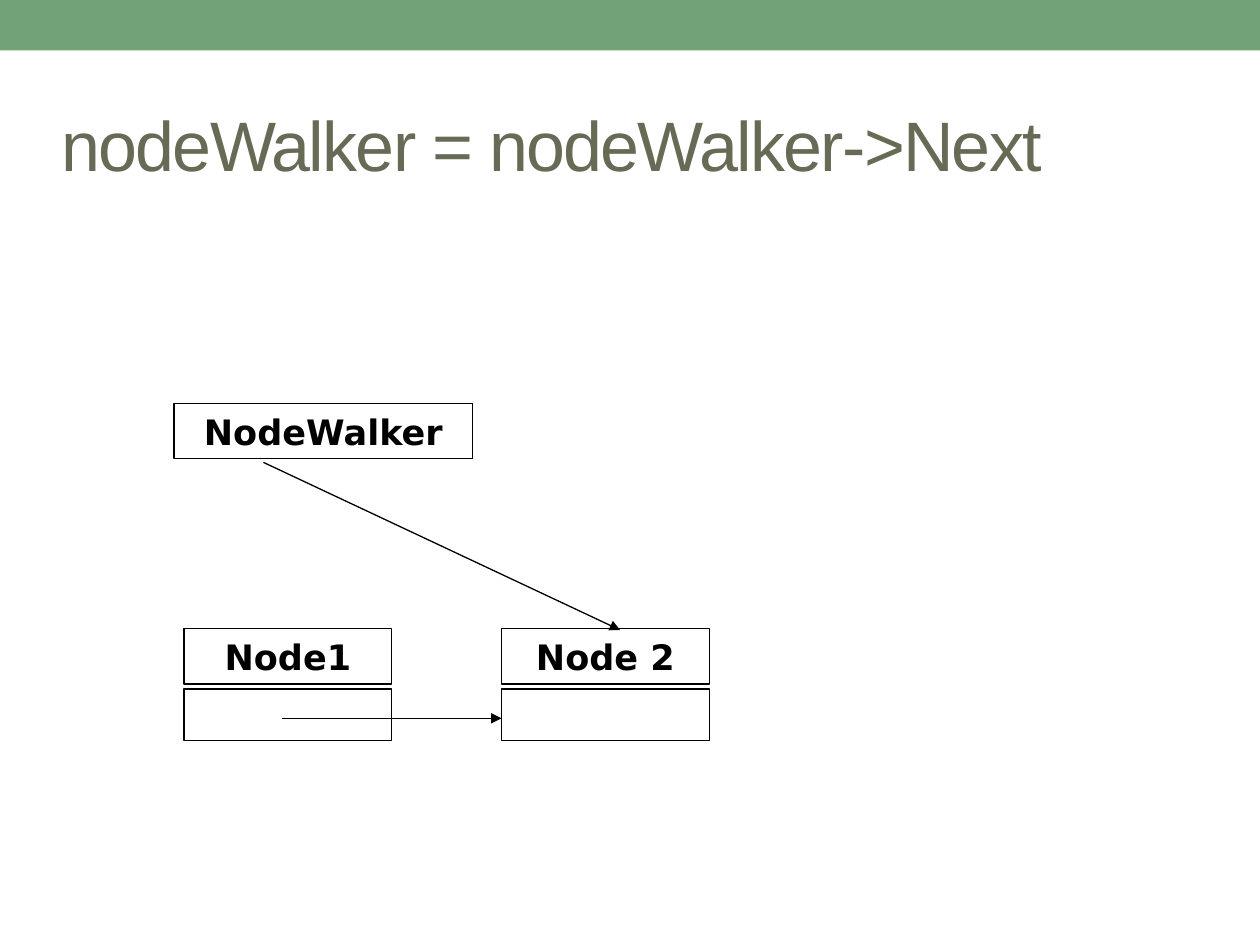
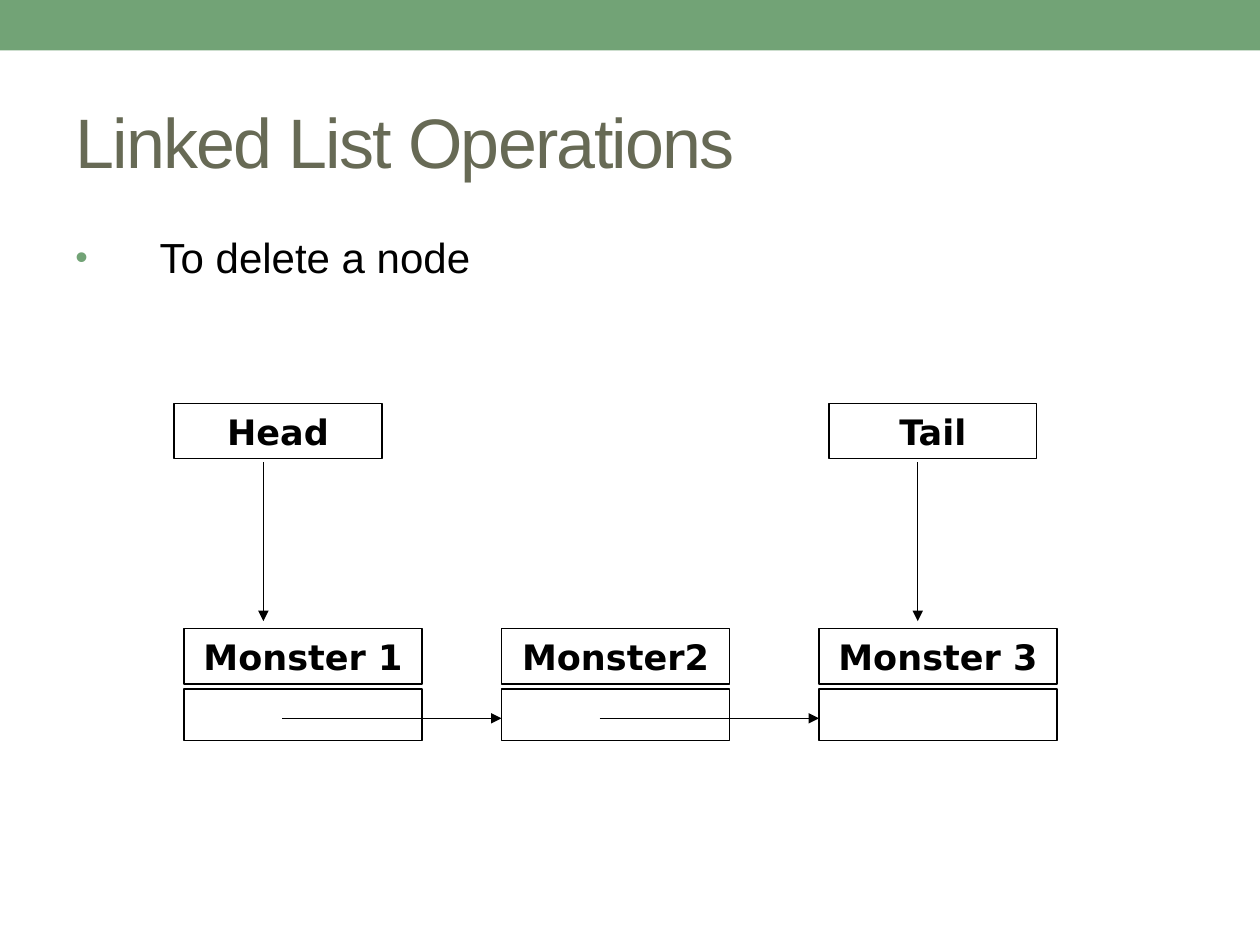
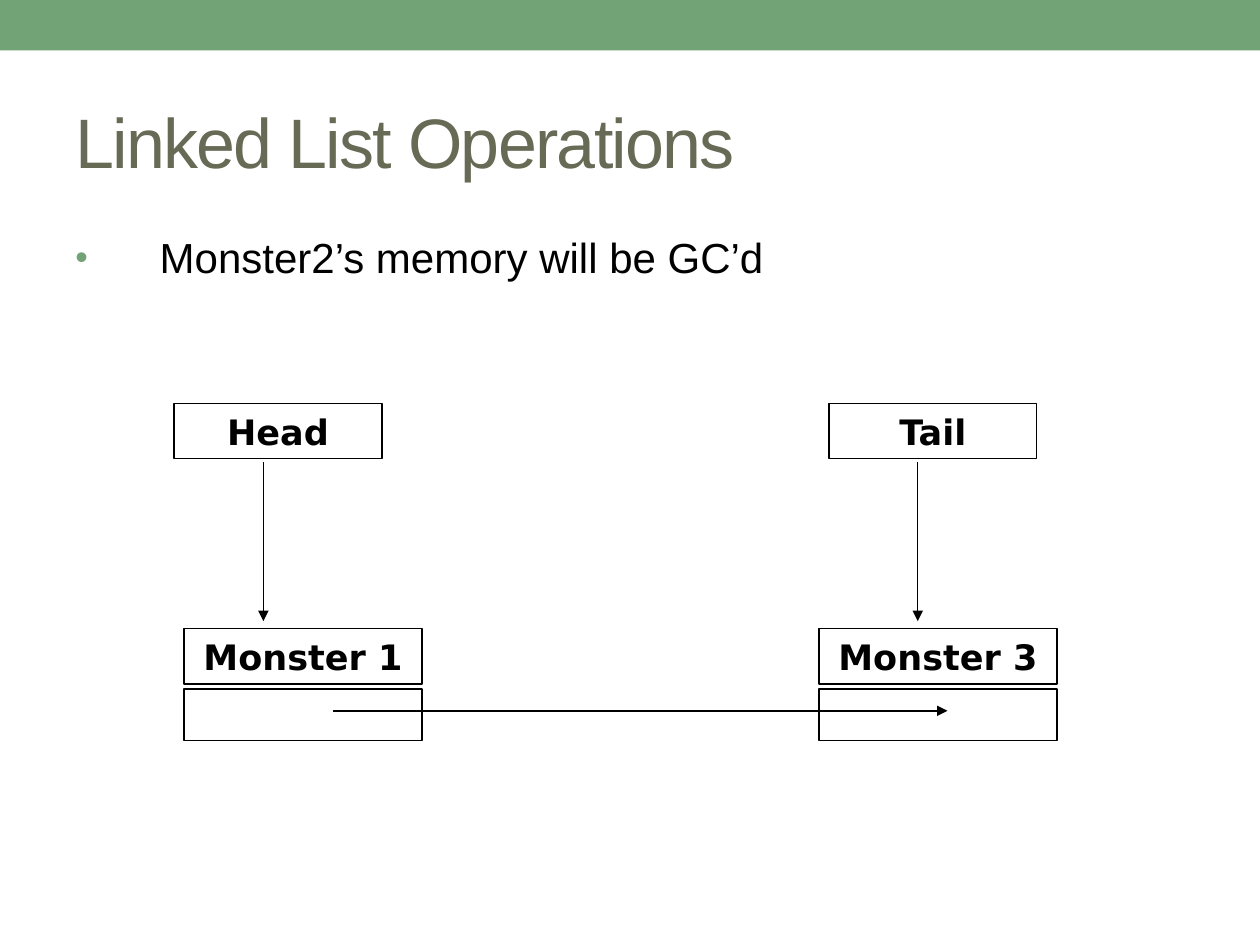
from pptx import Presentation
from pptx import util as u
from pptx.dml.color import RGBColor
from pptx.enum import shapes, text
from pptx.oxml import ns
from lxml import etree

GREEN = RGBColor(0x72, 0xA3, 0x76)
OLIVE = RGBColor(0x67, 0x6A, 0x55)
BLACK = RGBColor(0, 0, 0)

NODE_LEFT, NODE_STEP = 3.71, 6.4
NODE_TOP, LINK_TOP = 12.67, 13.89
POINTER_LEFT, POINTER_STEP, POINTER_TOP = 3.51, 6.6, 8.13
LABEL_HEIGHT, LINK_HEIGHT = 1.12, 1.04

head = ("Head", 0, 4.19)
tail = ("Tail", 2, 4.19)
monster1 = ("Monster 1", 0, 4.8)
monster2 = ("Monster2", 1, 4.6)
monster3 = ("Monster 3", 2, 4.8)
head_arrow = (5.31, 9.32, 5.31, 12.52)
tail_arrow = (18.5, 9.32, 18.5, 12.52)
first_link = (5.69, 14.48, 10.11, 14.48)
second_link = (12.09, 14.48, 16.51, 14.48)

lessons = [
    dict(title="nodeWalker = nodeWalker->Next",
         title_box=(0.99, 1.42, 23.14, 2.95),
         bullet=None,
         pointers=[("NodeWalker", 0, 6.02)],
         nodes=[("Node1", 0, 4.19), ("Node 2", 1, 4.19)],
         arrows=[first_link, (5.31, 9.32, 12.5, 12.7)]),
    dict(title="Linked List Operations",
         title_box=(1.27, 1.47, 22.86, 2.74),
         bullet="To delete a node",
         pointers=[head, tail],
         nodes=[monster1, monster2, monster3],
         arrows=[first_link, second_link, head_arrow, tail_arrow]),
    dict(title="Linked List Operations",
         title_box=(1.27, 1.47, 22.86, 2.74),
         bullet="Monster2\u2019s memory will be GC\u2019d",
         pointers=[head, tail],
         nodes=[monster1, monster3],
         arrows=[head_arrow, tail_arrow, (6.71, 14.33, 19.1, 14.33)]),
]


def write(shape, words, font_name, size, color, bold=False):
    frame = shape.text_frame
    frame.word_wrap = True
    frame.text = words
    font = frame.paragraphs[0].runs[0].font
    font.name, font.size, font.bold = font_name, u.Pt(size), bold
    font.color.rgb = color
    return frame.paragraphs[0]


def add_cell(slide, left, top, width, height):
    cell = slide.shapes.add_shape(shapes.MSO_SHAPE.RECTANGLE, u.Cm(left), u.Cm(top),
                                  u.Cm(width), u.Cm(height))
    cell.shadow.inherit = False
    cell.fill.background()
    cell.line.color.rgb = BLACK
    cell.line.width = u.Pt(0.75)
    return cell


deck = Presentation()
deck.slide_width, deck.slide_height = u.Cm(25.4), u.Cm(19.05)

for lesson in lessons:
    slide = deck.slides.add_slide(deck.slide_layouts[6])

    band = add_cell(slide, 0, 0, 25.4, 1.02)
    band.fill.solid()
    band.fill.fore_color.rgb = GREEN
    band.line.fill.background()

    title = slide.shapes.add_textbox(*[u.Cm(side) for side in lesson["title_box"]])
    title.text_frame.vertical_anchor = text.MSO_ANCHOR.MIDDLE
    heading = write(title, lesson["title"], "Arial", 40, OLIVE)
    heading.runs[0].font._element.set("spc", "-100")

    if lesson["bullet"]:
        body = slide.shapes.add_textbox(u.Cm(1.27), u.Cm(4.45), u.Cm(22.86), u.Cm(11.5))
        point = write(body, lesson["bullet"], "Arial", 24, BLACK)
        point.line_spacing = 1.1
        point.space_before = point.space_after = u.Pt(6)
        props = point._p.get_or_add_pPr()
        props.set("marL", str(u.Cm(1.7)))
        props.set("indent", str(-u.Cm(1.7)))
        bullet_color = etree.SubElement(props, ns.qn("a:buClr"))
        etree.SubElement(bullet_color, ns.qn("a:srgbClr"), val=str(GREEN))
        etree.SubElement(props, ns.qn("a:buSzPct"), val="85000")
        etree.SubElement(props, ns.qn("a:buFont"), typeface="Arial")
        etree.SubElement(props, ns.qn("a:buChar"), char="\u2022")

    labels = []
    for name, column, width in lesson["nodes"]:
        left = NODE_LEFT + column * NODE_STEP
        labels.append((name, left, NODE_TOP, width))
        add_cell(slide, left, LINK_TOP, width, LINK_HEIGHT)
    for name, column, width in lesson["pointers"]:
        labels.append((name, POINTER_LEFT + column * POINTER_STEP, POINTER_TOP, width))
    for name, left, top, width in labels:
        label = add_cell(slide, left, top, width, LABEL_HEIGHT)
        label.text_frame.vertical_anchor = text.MSO_ANCHOR.MIDDLE
        caption = write(label, name, "DejaVu Sans", 20, BLACK, True)
        caption.alignment = text.PP_ALIGN.CENTER

    for ends in lesson["arrows"]:
        arrow = slide.shapes.add_connector(shapes.MSO_CONNECTOR.STRAIGHT,
                                           *[u.Cm(end) for end in ends])
        arrow.line.color.rgb = BLACK
        arrow.line.width = u.Pt(0.75)
        outline = arrow.element.spPr.find(ns.qn("a:ln"))
        etree.SubElement(outline, ns.qn("a:tailEnd"), type="triangle")
        etree.SubElement(arrow.element.spPr, ns.qn("a:effectLst"))

deck.save("out.pptx")
